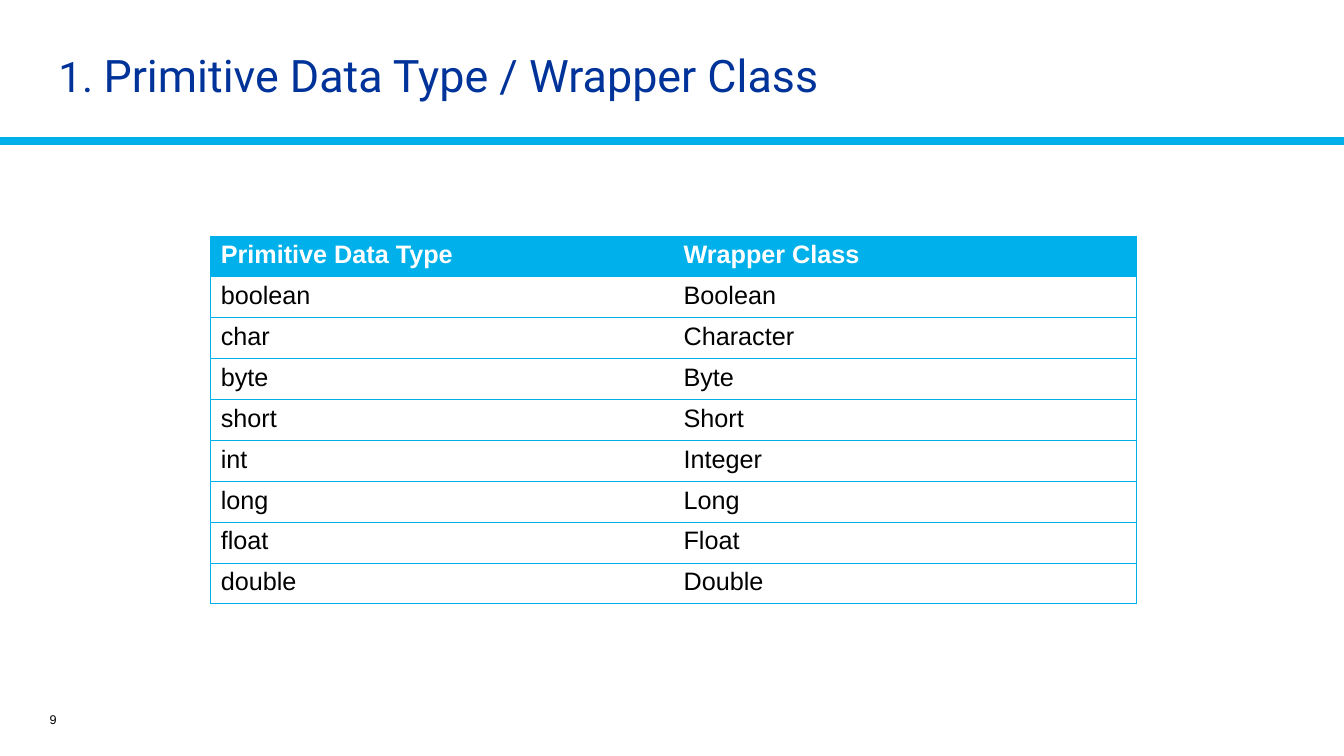
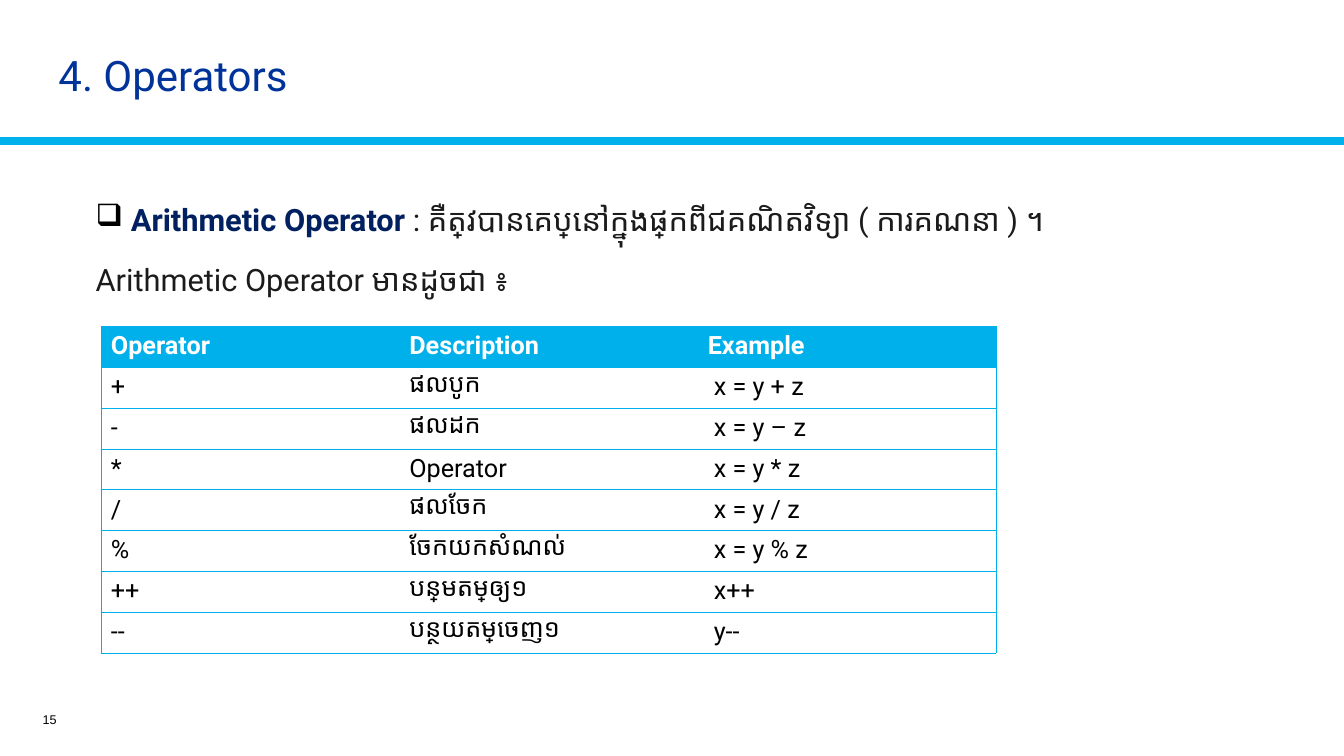
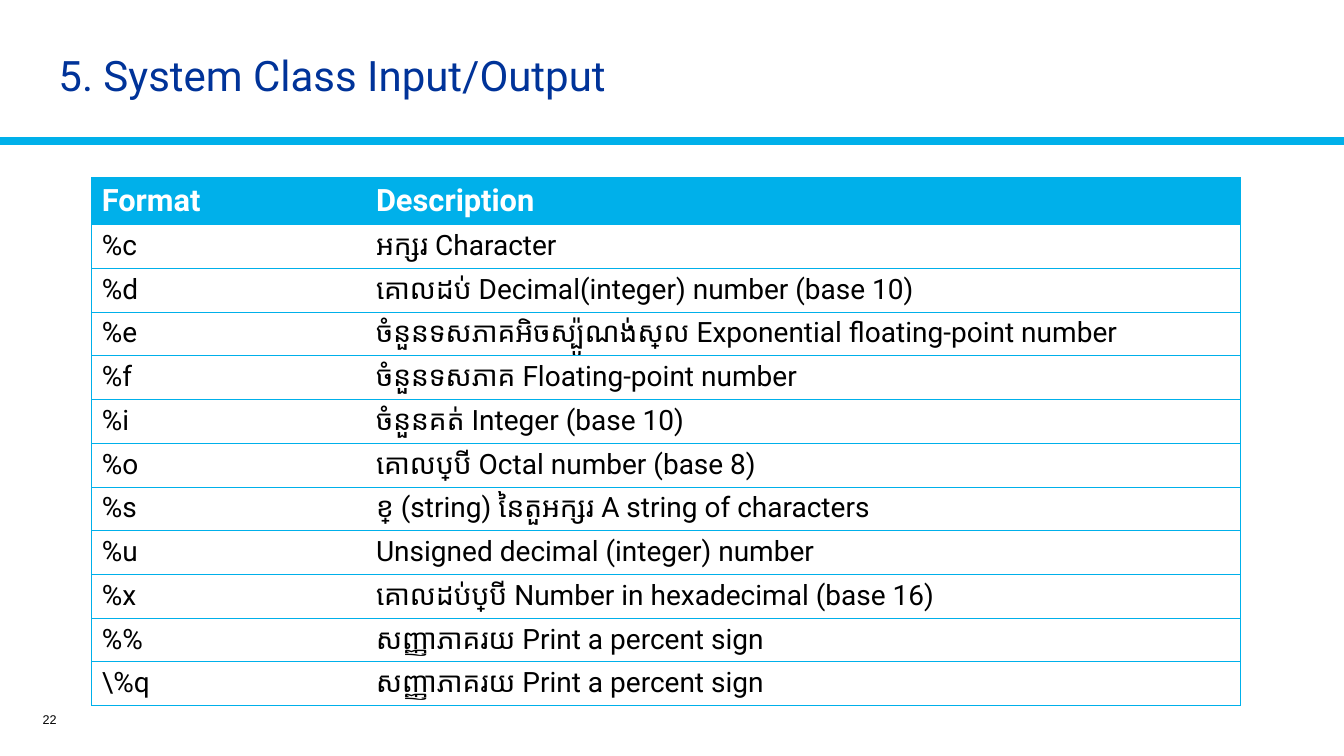
from lxml import etree
from pptx import Presentation
from pptx.dml.color import RGBColor
from pptx.enum.shapes import MSO_CONNECTOR
from pptx.enum.text import MSO_ANCHOR, MSO_AUTO_SIZE, PP_ALIGN
from pptx.oxml.ns import qn
from pptx.util import Inches, Pt

STRAIGHT = MSO_CONNECTOR.STRAIGHT
MIDDLE = MSO_ANCHOR.MIDDLE
NO_AUTOFIT = MSO_AUTO_SIZE.NONE
LEFT, RIGHT = PP_ALIGN.LEFT, PP_ALIGN.RIGHT
TITLE_ONLY = 5
COLORS = {
    "title": "003399",
    "accent": "00B0EA",
    "term": "002060",
    "body": "1B1B1B",
    "text": "000000",
    "paper": "FFFFFF",
}

SLIDES = [
    {
        "number": "9",
        "title": [("1. ", 30), ("Primitive Data Type / Wrapper Class", 32)],
        "place": (2.09, 2.34, 9.19, 3.65),
        "columns": [4.59, 4.59],
        "font": "Arial",
        "sizes": (18, 18),
        "rows": [
            ("Primitive Data Type", "Wrapper Class"),
            ("boolean", "Boolean"),
            ("char", "Character"),
            ("byte", "Byte"),
            ("short", "Short"),
            ("int", "Integer"),
            ("long", "Long"),
            ("float", "Float"),
            ("double", "Double"),
        ],
    },
    {
        "number": "15",
        "title": [("4. Operators", 30)],
        "intro": [
            [("Arithmetic Operator ", "term", True),
             (": គឺត្រូវបានគេប្រើនៅក្នុងផ្នែកពីជគណិតវិទ្យា ( ការគណនា ) ។", "body", False)],
            [("Arithmetic Operator មានដូចជា ៖", "body", False)],
        ],
        "place": (1, 3.24, 8.89, 3.24),
        "columns": [2.96, 2.96, 2.96],
        "font": "Roboto",
        "sizes": (18, 18),
        "indented_column": 2,
        "rows": [
            ("Operator", "Description", "Example"),
            ("+", "ផលបូក", "x = y + z"),
            ("-", "ផលដក", "x = y – z"),
            ("*", "Operator", "x = y * z"),
            ("/", "ផលចែក", "x = y / z"),
            ("%", "ចែកយកសំណល់", "x = y % z"),
            ("++", "បន្ថែមតម្លៃឲ្យ១", "x++"),
            ("--", "បន្ថយតម្លៃចេញ១", "y--"),
        ],
    },
    {
        "number": "22",
        "title": [("5. System Class Input/Output", 30)],
        "place": (0.91, 1.76, 11.39, 5.13),
        "columns": [2.72, 8.67],
        "font": "Roboto",
        "sizes": (22, 20),
        "rows": [
            ("Format", "Description"),
            ("%c", "អក្សរ Character"),
            ("%d", "គោលដប់ Decimal(integer) number (base 10)"),
            ("%e", "ចំនួនទសភាគអិចស្ប៉ូណង់ស្យែល Exponential floating-point number"),
            ("%f", "ចំនួនទសភាគ Floating-point number"),
            ("%i", "ចំនួនគត់ Integer (base 10)"),
            ("%o", "គោលប្រាំបី Octal number (base 8)"),
            ("%s", "ខ្សែ (string) នៃតួអក្សរ A string of characters"),
            ("%u", "Unsigned decimal (integer) number"),
            ("%x", "គោលដប់ប្រាំបី Number in hexadecimal (base 16)"),
            ("%%", "សញ្ញាភាគរយ Print a percent sign"),
            ("\\%q", "សញ្ញាភាគរយ Print a percent sign"),
        ],
    },
]


def add_span(para, text, *, size, color, font="Roboto", bold=False):
    span = para.add_run()
    span.text = text
    span.font.name = font
    span.font.size = Pt(size)
    span.font.bold = bold
    span.font.color.rgb = RGBColor.from_string(COLORS[color])


def set_borders(cell, visible):
    properties = cell._tc.get_or_add_tcPr()
    for index, side in enumerate(("lnL", "lnR", "lnT", "lnB")):
        line = etree.Element(qn("a:" + side), w=str(Pt(0.5)))
        if side in visible:
            fill = etree.SubElement(line, qn("a:solidFill"))
            etree.SubElement(fill, qn("a:srgbClr"), val=COLORS["accent"])
        else:
            etree.SubElement(line, qn("a:noFill"))
        properties.insert(index, line)


deck = Presentation()
deck.slide_width = Inches(13.33)
deck.slide_height = Inches(7.5)

for content in SLIDES:
    page = deck.slides.add_slide(deck.slide_layouts[TITLE_ONLY])

    rule = page.shapes.add_connector(STRAIGHT, 0, Inches(1.4), deck.slide_width, Inches(1.4))
    rule.line.color.rgb = RGBColor.from_string(COLORS["accent"])
    rule.line.width = Pt(6)
    etree.SubElement(rule._element.spPr, qn("a:effectLst"))

    title = page.shapes.title
    title.left, title.top = Inches(0.48), Inches(0.36)
    title.width, title.height = Inches(9.02), Inches(0.83)
    title.text_frame.auto_size = NO_AUTOFIT
    title.text_frame.vertical_anchor = MIDDLE
    para = title.text_frame.paragraphs[0]
    para.alignment = LEFT
    para.line_spacing = 0.9
    for text, size in content["title"]:
        add_span(para, text, size=size, color="title")

    number_box = page.shapes.add_textbox(Inches(0.09), Inches(6.99), Inches(0.57), Inches(0.3))
    number_box.text_frame.word_wrap = True
    number_box.text_frame.vertical_anchor = MIDDLE
    para = number_box.text_frame.paragraphs[0]
    para.alignment = RIGHT
    add_span(para, content["number"], size=9, color="text", font="Arial")

    if "intro" in content:
        intro_box = page.shapes.add_textbox(Inches(0.85), Inches(1.94), Inches(12.05), Inches(1.1))
        frame = intro_box.text_frame
        frame.word_wrap = True
        for index, spans in enumerate(content["intro"]):
            if index == 0:
                para = frame.paragraphs[0]
                properties = para._p.get_or_add_pPr()
                properties.set("marL", str(Inches(0.35)))
                properties.set("indent", str(-Inches(0.35)))
                bullet_color = etree.SubElement(properties, qn("a:buClr"))
                etree.SubElement(bullet_color, qn("a:srgbClr"), val=COLORS["text"])
                etree.SubElement(properties, qn("a:buChar"), char="❑")
            else:
                para = frame.add_paragraph()
                para.space_before = Pt(16.5)
            for text, color, bold in spans:
                add_span(para, text, size=22, color=color, bold=bold)

    rows, columns = content["rows"], content["columns"]
    place = [Inches(length) for length in content["place"]]
    table = page.shapes.add_table(len(rows), len(columns), *place).table
    table.horz_banding = False
    for column, width in zip(table.columns, columns):
        column.width = Inches(width)
    for row_index, row in enumerate(rows):
        header = row_index == 0
        for column_index, text in enumerate(row):
            cell = table.cell(row_index, column_index)
            cell.fill.solid()
            cell.fill.fore_color.rgb = RGBColor.from_string(COLORS["accent" if header else "paper"])
            visible = ["lnT", "lnB"]
            if column_index == 0:
                visible.append("lnL")
            if column_index == len(columns) - 1:
                visible.append("lnR")
            set_borders(cell, visible)
            if not header and column_index == content.get("indented_column"):
                cell.margin_left = Inches(0.16)
            add_span(
                cell.text_frame.paragraphs[0],
                text,
                size=content["sizes"][0 if header else 1],
                color="paper" if header else "text",
                font=content["font"],
                bold=header,
            )

deck.save("out.pptx")
